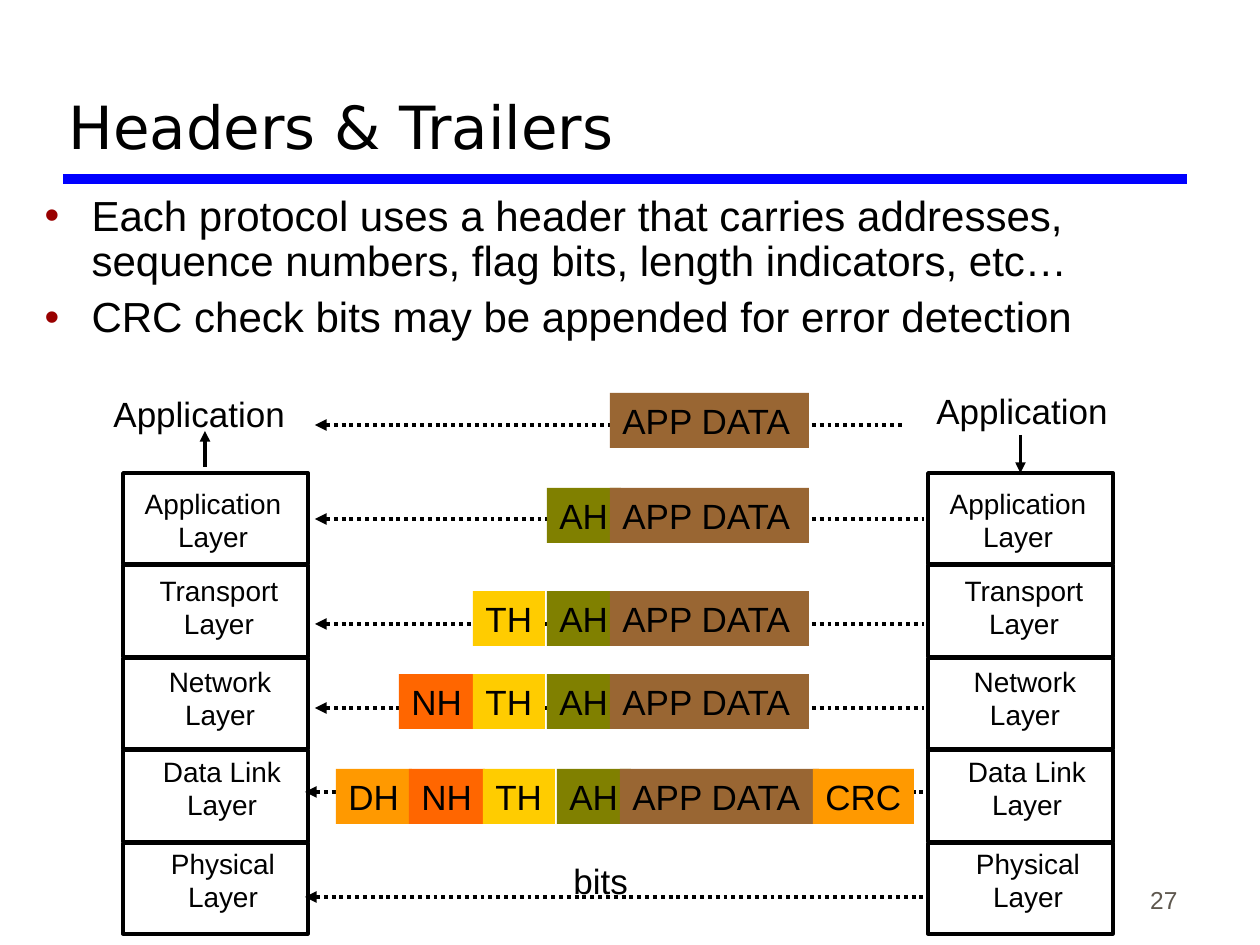
from dataclasses import dataclass

from lxml import etree
from pptx import Presentation
from pptx import util as u
from pptx.dml.color import RGBColor
from pptx.enum import dml, shapes, text
from pptx.oxml import ns

PX = 914400 // 126  # EMU in one px


@dataclass(frozen=True)
class Theme:
    ink: str = "000000"
    rule: str = "0000FF"
    bullet: str = "990000"
    page: str = "5E574E"
    font: str = "Arial"
    title_font: str = "DejaVu Sans"
    title_size: int = 34
    body_size: int = 24
    label_size: int = 20
    layer_size: int = 16
    page_size: int = 14


THEME = Theme()

TITLE = "Headers & Trailers"
POINTS = [
    "Each protocol uses a header that carries addresses, sequence numbers, "
    "flag bits, length indicators, etc…",
    "CRC check bits may be appended for error detection",
]
PAGE = "27"

# layer name, label offset from the stack's left, label top, label width
LAYERS = [
    ("Application", 5, 480, 170),
    ("Transport", 19, 567, 154),
    ("Network", 28, 658, 138),
    ("Data Link", 23, 748, 152),
    ("Physical", 31, 840, 138),
]
STACK_LEFTS = (123, 928)
STACK_TOP, STACK_PITCH = 473, 92.5
LAYER_W, LAYER_H = 185, 91

# packet part: left, width, fill
PARTS = {
    "DH": (326, 76, "FF9900"),
    "NH": (399, 76, "FF6600"),
    "TH": (473, 72, "FFCC00"),
    "AH": (547, 74, "808000"),
    "APP DATA": (610, 199, "996633"),
    "CRC": (803, 101, "FF9900"),
}
PART_H = 55
# top, shift to the right, parts
PACKETS = [
    (393, 0, ["APP DATA"]),
    (488, 0, ["AH", "APP DATA"]),
    (591, 0, ["TH", "AH", "APP DATA"]),
    (674, 0, ["NH", "TH", "AH", "APP DATA"]),
    (769, 10, ["DH", "NH", "TH", "AH", "APP DATA", "CRC"]),
]
# left, right, height on the slide
FLOWS = [
    (315, 904, 425),
    (315, 924, 519),
    (315, 924, 624),
    (315, 924, 708),
    (305, 924, 792),
    (305, 924, 897),
]
# text, left, top, width
LABELS = [
    ("Application", 101, 386, 207),
    ("Application", 924, 383, 203),
    ("bits", 561, 853, 90),
]


def px(*lengths):
    return [round(length * PX) for length in lengths]


def style(paragraph, size, color=THEME.ink, font=THEME.font, align=text.PP_ALIGN.LEFT):
    paragraph.alignment = align
    paragraph.font.size = u.Pt(size)
    paragraph.font.name = font
    paragraph.font.color.rgb = RGBColor.from_string(color)


def write(frame, lines, size, align=text.PP_ALIGN.LEFT):
    """Put unwrapped lines into a frame that fits its text."""
    frame.word_wrap = False
    frame.auto_size = text.MSO_AUTO_SIZE.SHAPE_TO_FIT_TEXT
    frame.vertical_anchor = text.MSO_ANCHOR.TOP
    frame.text = "\n".join(lines)
    for paragraph in frame.paragraphs:
        style(paragraph, size, align=align)


def add_label(slide, lines, box, size, align=text.PP_ALIGN.LEFT):
    write(slide.shapes.add_textbox(*px(*box)).text_frame, lines, size, align)


def add_box(parent, box, fill=None):
    rect = parent.add_shape(shapes.MSO_SHAPE.RECTANGLE, *px(*box))
    rect.shadow.inherit = False
    if fill:
        rect.fill.solid()
        rect.fill.fore_color.rgb = RGBColor.from_string(fill)
        rect.line.fill.background()
    else:
        rect.fill.background()
        rect.line.color.rgb = RGBColor.from_string(THEME.ink)
        rect.line.width = u.Pt(2)
    return rect


def add_line(slide, ends, width, color=THEME.ink, dotted=False, arrow=None):
    """arrow is headEnd for a tip at the start, tailEnd for one at the end."""
    line = slide.shapes.add_connector(shapes.MSO_CONNECTOR.STRAIGHT, *px(*ends))
    line.line.color.rgb = RGBColor.from_string(color)
    line.line.width = u.Pt(width)
    if dotted:
        line.line.dash_style = dml.MSO_LINE.ROUND_DOT
    if arrow:
        etree.SubElement(line.line._get_or_add_ln(), ns.qn("a:" + arrow), type="triangle")
    etree.SubElement(line._element.spPr, ns.qn("a:effectLst"))
    return line


def add_bullet(paragraph):
    props = paragraph._p.get_or_add_pPr()
    props.set("marL", str(px(47)[0]))
    props.set("indent", str(px(-47)[0]))
    color = etree.SubElement(props, ns.qn("a:buClr"))
    etree.SubElement(color, ns.qn("a:srgbClr"), val=THEME.bullet)
    etree.SubElement(props, ns.qn("a:buChar"), char="•")


def place(holder, box, content, anchor):
    holder.left, holder.top, holder.width, holder.height = px(*box)
    frame = holder.text_frame
    frame.text = content
    frame.word_wrap = True
    frame.auto_size = text.MSO_AUTO_SIZE.NONE
    frame.vertical_anchor = anchor
    return frame.paragraphs


def add_texts(slide):
    title, body = slide.placeholders
    heading = place(title, (56, 21, 1130, 147), TITLE, text.MSO_ANCHOR.BOTTOM)[0]
    style(heading, THEME.title_size, font=THEME.title_font)
    points = place(body, (32, 189, 1197, 168), "\n".join(POINTS), text.MSO_ANCHOR.TOP)
    for i, point in enumerate(points):
        add_bullet(point)
        point.line_spacing = 0.9
        point.space_before = u.Pt(6 if i else 0)
        style(point, THEME.body_size)
    page = slide.shapes.add_textbox(0, 0, 0, 0)
    number = place(page, (928, 858, 262, 63), PAGE, text.MSO_ANCHOR.BOTTOM)[0]
    style(number, THEME.page_size, THEME.page, align=text.PP_ALIGN.RIGHT)


def add_stack(slide, left):
    """Draw the layer boxes with their labels and return the top box."""
    boxes = [
        add_box(slide.shapes, (left, STACK_TOP + i * STACK_PITCH, LAYER_W, LAYER_H))
        for i in range(len(LAYERS))
    ]
    for name, offset, top, width in LAYERS:
        add_label(slide, [name, "Layer"], (left + offset, top, width, 79),
                  THEME.layer_size, text.PP_ALIGN.CENTER)
    return boxes[0]


def add_packet(slide, top, shift, names):
    group = slide.shapes.add_group_shape()
    for name in names:
        left, width, fill = PARTS[name]
        part = add_box(group.shapes, (left + shift, top, width, PART_H), fill)
        write(part.text_frame, [name], THEME.label_size)


def main():
    deck = Presentation()
    deck.slide_width, deck.slide_height = px(1260, 945)
    slide = deck.slides.add_slide(deck.slide_layouts[1])
    add_line(slide, (63, 179, 1187, 179), 6, THEME.rule)
    add_texts(slide)

    for left, right, y in FLOWS:
        add_line(slide, (left, y, right, y), 2.25, dotted=True, arrow="headEnd")
    receiver, sender = [add_stack(slide, left) for left in STACK_LEFTS]
    add_line(slide, (205, 431, 205, 467), 2, arrow="headEnd")
    sender_middle = STACK_LEFTS[1] + LAYER_W / 2
    descent = add_line(slide, (sender_middle, 435, sender_middle, STACK_TOP), 2,
                       arrow="tailEnd")
    descent.end_connect(sender, 0)

    for packet in PACKETS:
        add_packet(slide, *packet)
    for label, left, top, width in LABELS:
        add_label(slide, [label], (left, top, width, 55), THEME.label_size)
    deck.save("out.pptx")


if __name__ == "__main__":
    main()
